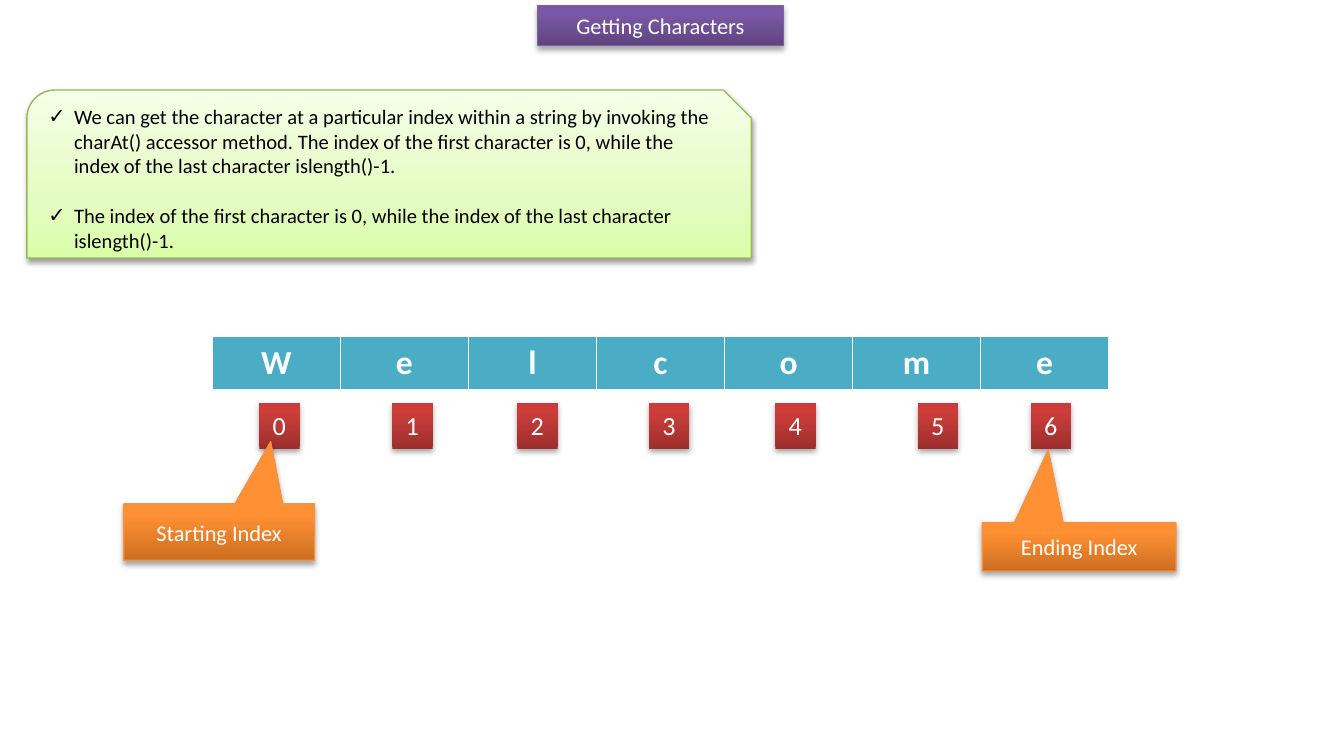
from lxml.etree import SubElement
from pptx import Presentation
from pptx.dml.color import RGBColor
from pptx.enum.shapes import MSO_SHAPE
from pptx.enum.text import MSO_ANCHOR, MSO_AUTO_SIZE, PP_ALIGN
from pptx.oxml import parse_xml
from pptx.oxml.ns import nsdecls, qn
from pptx.util import Inches, Pt

FONT = "Calibri"
COLORS = {
    "white": "FFFFFF",
    "black": "000000",
    "cell": "4BACC6",
    "title_line": "7D60A0",
    "callout_line": "F69240",
    "panel_line": "98B955",
}
# Gradient stops run from the bottom edge to the top edge
GRADIENTS = {
    "title": [(0, "5F4480"), (80, "7B58A6"), (100, "7C57A8")],
    "index": [(0, "9C2F2D"), (80, "CB3E3A"), (100, "CE3B37")],
    "callout": [(0, "CC6E20"), (80, "FF9034"), (100, "FF9136")],
    "panel": [(0, "DAFDA7"), (35, "E4FCC2"), (100, "F5FFE7")],
}
WORD = "Welcome"
INDEX_LEFTS = [1.93, 2.92, 3.85, 4.83, 5.77, 6.83, 7.67]
POINTS = [
    "We can get the character at a particular index within a string by invoking "
    "the charAt() accessor method. The index of the first character is 0, "
    "while the index of the last character islength()-1.",
    "The index of the first character is 0, while the index of the last "
    "character islength()-1.",
]


def rgb(name):
    return RGBColor.from_string(COLORS[name])


def place(shape, left, top, width, height):
    shape.left, shape.top = Inches(left), Inches(top)
    shape.width, shape.height = Inches(width), Inches(height)


def set_geometry(placeholder, preset):
    geometry = parse_xml(
        f'<a:prstGeom {nsdecls("a")} prst="{preset}"><a:avLst/></a:prstGeom>')
    placeholder._element.spPr.insert(1, geometry)


def decorate(shape, gradient, line=None, shadow=(35, 1.8)):
    """Give a shape its vertical gradient, outline and soft shadow."""
    shape.fill.gradient()
    shape.fill.gradient_angle = 90
    properties = shape._element.spPr
    stops = properties.find(".//" + qn("a:gsLst"))
    for stop in list(stops):
        stops.remove(stop)
    for position, color in GRADIENTS[gradient]:
        stop = SubElement(stops, qn("a:gs"), pos=str(position * 1000))
        SubElement(stop, qn("a:srgbClr"), val=color)

    if line:
        shape.line.color.rgb = rgb(line)
        shape.line.width = Pt(0.75)
    else:
        shape.line.fill.background()

    shape.shadow.inherit = False
    opacity, distance = shadow
    outer = SubElement(
        properties.find(qn("a:effectLst")), qn("a:outerShdw"),
        blurRad=str(Pt(3.1)), dist=str(Pt(distance)), dir="5400000",
        rotWithShape="0")
    color = SubElement(outer, qn("a:srgbClr"), val=COLORS["black"])
    SubElement(color, qn("a:alpha"), val=str(opacity * 1000))


def format_runs(para, size, color="white", bold=False, align=PP_ALIGN.CENTER):
    para.alignment = align
    for span in para.runs:
        span.font.name = FONT
        span.font.size = Pt(size)
        span.font.bold = bold
        span.font.color.rgb = rgb(color)


def write_label(shape, text, size, align=PP_ALIGN.CENTER,
                anchor=MSO_ANCHOR.MIDDLE, wrap=True):
    frame = shape.text_frame
    frame.text = text
    frame.word_wrap = wrap
    frame.auto_size = MSO_AUTO_SIZE.NONE
    frame.vertical_anchor = anchor
    format_runs(frame.paragraphs[0], size, align=align)


def fill_title(title, text):
    place(title, 4, 0.04, 1.83, 0.3)
    set_geometry(title, "rect")
    decorate(title, "title", "title_line")
    write_label(title, text, 12)


def fill_panel(panel):
    place(panel, 0.2, 0.67, 5.39, 1.25)
    set_geometry(panel, "snipRoundRect")
    decorate(panel, "panel", "panel_line", shadow=(38, 1.6))
    frame = panel.text_frame
    frame.text = "\n".join(POINTS)
    frame.word_wrap = True
    frame.auto_size = MSO_AUTO_SIZE.NONE
    frame.vertical_anchor = MSO_ANCHOR.MIDDLE
    for number, para in enumerate(frame.paragraphs):
        properties = para._p.get_or_add_pPr()
        properties.set("marL", str(Inches(0.19)))
        properties.set("indent", str(-Inches(0.19)))
        SubElement(properties, qn("a:buChar"), char="✓")
        para.space_before = Pt(13.4 if number else 0)
        format_runs(para, 11, "black", align=PP_ALIGN.LEFT)


def add_word_table(page):
    table = page.shapes.add_table(
        1, len(WORD), Inches(1.58), Inches(2.5), Inches(6.67), Inches(0.41)).table
    for column, letter in enumerate(WORD):
        cell = table.cell(0, column)
        cell.text = letter
        format_runs(cell.text_frame.paragraphs[0], 18, bold=True)
        properties = cell._tc.get_or_add_tcPr()
        for side, width in (("L", 1), ("R", 1), ("T", 1), ("B", 3)):
            border = SubElement(properties, qn("a:ln" + side), w=str(Pt(width)))
            solid = SubElement(border, qn("a:solidFill"))
            SubElement(solid, qn("a:srgbClr"), val=COLORS["white"])
        cell.fill.solid()
        cell.fill.fore_color.rgb = rgb("cell")


def add_index(page, number, left):
    box = page.shapes.add_shape(
        MSO_SHAPE.RECTANGLE, Inches(left), Inches(3), Inches(0.3), Inches(0.34))
    decorate(box, "index")
    write_label(box, str(number), 14, PP_ALIGN.LEFT, MSO_ANCHOR.TOP, wrap=False)


def add_callout(page, text, bounds, tip):
    callout = page.shapes.add_shape(
        MSO_SHAPE.RECTANGULAR_CALLOUT, *(Inches(value) for value in bounds))
    callout.adjustments[0], callout.adjustments[1] = tip
    decorate(callout, "callout", "callout_line")
    write_label(callout, text, 12)


def main():
    deck = Presentation()
    deck.slide_width, deck.slide_height = Inches(10), Inches(5.5)
    page = deck.slides.add_slide(deck.slide_layouts[1])

    # Heading and explanation
    fill_title(page.shapes.title, "Getting Characters")
    fill_panel(page.placeholders[1])

    # Letters of the word with their indexes
    add_word_table(page)
    for number, left in enumerate(INDEX_LEFTS):
        add_index(page, number, left)

    # Callouts on the first and last index
    add_callout(page, "Starting Index", (0.92, 3.75, 1.42, 0.42), (0.27, -1.6))
    add_callout(page, "Ending Index", (7.31, 3.89, 1.44, 0.36), (-0.16, -2))

    deck.save("out.pptx")


if __name__ == "__main__":
    main()
